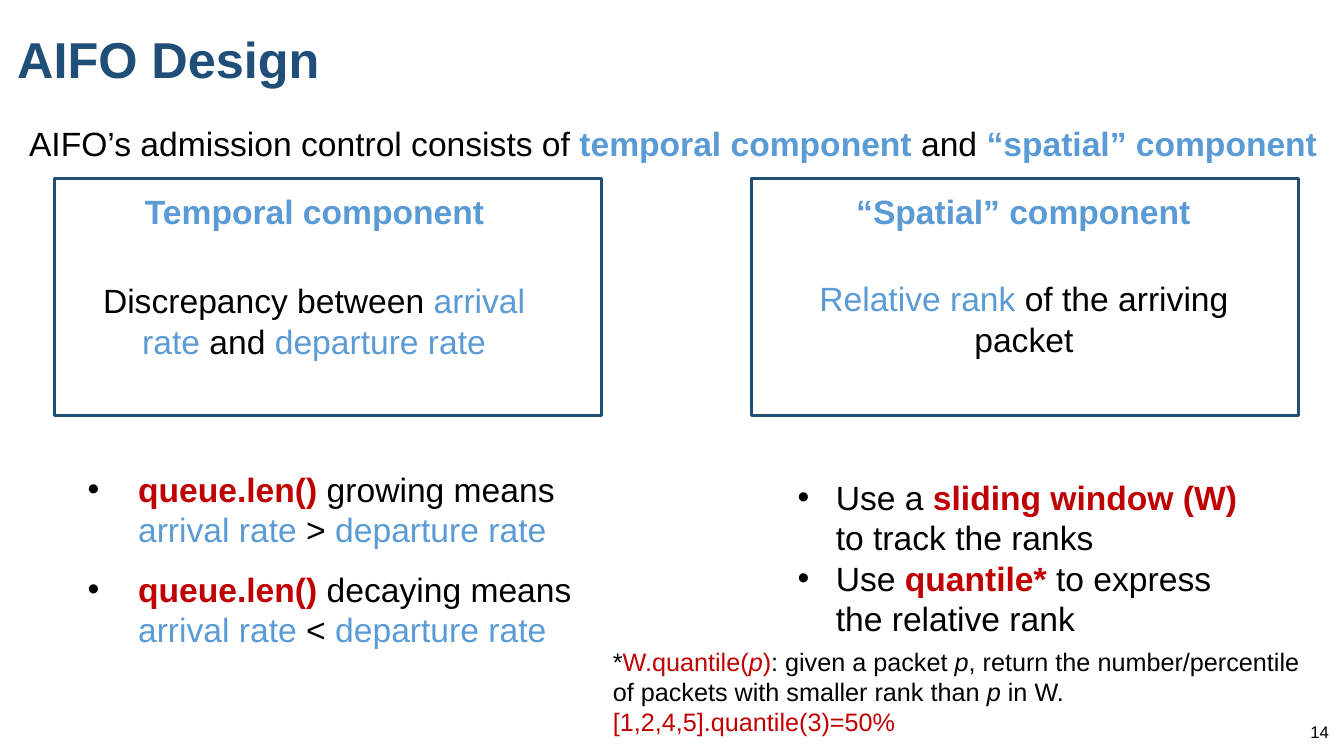
from lxml import etree
from pptx import Presentation
from pptx.dml.color import RGBColor
from pptx.enum.shapes import MSO_SHAPE
from pptx.enum.text import MSO_ANCHOR, MSO_AUTO_SIZE, PP_ALIGN
from pptx.oxml.ns import qn
from pptx.util import Inches, Pt

LEFT, CENTER, RIGHT = PP_ALIGN.LEFT, PP_ALIGN.CENTER, PP_ALIGN.RIGHT
TOP, MIDDLE = MSO_ANCHOR.TOP, MSO_ANCHOR.MIDDLE
NO_AUTOFIT = MSO_AUTO_SIZE.NONE
RECTANGLE = MSO_SHAPE.RECTANGLE

COLORS = {"navy": "1F4E79", "blue": "5B9BD5", "red": "C00000", "black": "000000"}
TWO_CONTENT_LAYOUT = 3


def fill_paragraph(paragraph, runs, size, alignment=LEFT):
    """Add runs given as (text, colour name, optional "b" or "i")."""
    paragraph.alignment = alignment
    for text, color, *style in runs:
        run = paragraph.add_run()
        run.text = text
        font = run.font
        font.name = "Arial"
        font.size = Pt(size)
        font.bold = "b" in style
        font.italic = "i" in style
        font.color.rgb = RGBColor.from_string(COLORS[color])


def place(shape, left, top, width, height, anchor=TOP, wrap=True):
    """Move a text shape and set how its text sits inside it."""
    shape.left, shape.top = Inches(left), Inches(top)
    shape.width, shape.height = Inches(width), Inches(height)
    frame = shape.text_frame
    frame.auto_size = NO_AUTOFIT
    frame.word_wrap = wrap
    frame.vertical_anchor = anchor
    return frame


presentation = Presentation()
presentation.slide_width = Inches(13.33)
presentation.slide_height = Inches(7.5)
slide = presentation.slides.add_slide(presentation.slide_layouts[TWO_CONTENT_LAYOUT])
title, temporal_list, spatial_list = slide.placeholders

# Title
frame = place(title, 0.07, -0.11, 12.28, 1.45, MIDDLE)
frame.paragraphs[0].line_spacing = 0.9
fill_paragraph(frame.paragraphs[0], [("AIFO Design", "navy", "b")], 36)

# Component frames
for left in (0.54, 7.45):
    box = slide.shapes.add_shape(RECTANGLE, Inches(left), Inches(1.77), Inches(5.43), Inches(2.35))
    box.shadow.inherit = False
    box.fill.background()
    box.line.color.rgb = RGBColor.from_string(COLORS["navy"])
    box.line.width = Pt(2)

# Single-paragraph texts: position, wrap, size, alignment, runs
texts = [
    ((0.19, 1.17, 13.03, 0.5), False, 24, LEFT, [
        ("AIFO’s admission control consists of ", "black"),
        ("temporal component ", "blue", "b"),
        ("and ", "black"),
        ("“spatial” component", "blue", "b")]),
    ((1.32, 1.84, 3.6, 0.5), False, 24, CENTER, [("Temporal component", "blue", "b")]),
    ((8.38, 1.84, 3.54, 0.5), False, 24, CENTER, [("“Spatial” component", "blue", "b")]),
    ((0.77, 2.73, 4.69, 0.91), True, 24, CENTER, [
        ("Discrepancy between ", "black"),
        ("arrival rate ", "blue"),
        ("and ", "black"),
        ("departure rate", "blue")]),
    ((7.81, 2.71, 4.69, 0.91), True, 24, CENTER, [
        ("Relative rank ", "blue"),
        ("of the arriving packet", "black")]),
    ((10.28, 7.06, 3, 0.4), True, 12, RIGHT, [("14", "black")]),
]
for position, wrap, size, alignment, runs in texts:
    text_box = slide.shapes.add_textbox(0, 0, 0, 0)
    anchor = MIDDLE if size == 12 else TOP
    frame = place(text_box, *position, anchor, wrap)
    fill_paragraph(frame.paragraphs[0], runs, size, alignment)

# Bulleted lists: placeholder, position, indent, gap between items, items
queue_items = [
    [("queue.len() ", "red", "b"),
     (f"{trend} means ", "black"),
     ("arrival rate ", "blue"),
     (f"{sign} ", "black"),
     ("departure rate", "blue")]
    for trend, sign in (("growing", ">"), ("decaying", "<"))
]
window_items = [
    [("Use a ", "black"), ("sliding window (W) ", "red", "b"), ("to track the ranks", "black")],
    [("Use ", "black"), ("quantile*", "red", "b"), (" to express the relative rank", "black")],
]
lists = [
    (temporal_list, (0.77, 4.6, 5.21, 1.92), 0.5, 14, queue_items),
    (spatial_list, (7.81, 4.68, 4.69, 1.72), 0.38, 0, window_items),
]
for placeholder, position, indent, gap, items in lists:
    frame = place(placeholder, *position)
    for index, runs in enumerate(items):
        paragraph = frame.add_paragraph() if index else frame.paragraphs[0]
        properties = paragraph._p.get_or_add_pPr()
        properties.set("marL", str(Inches(indent)))
        properties.set("indent", str(-Inches(indent)))
        bullet_color = etree.SubElement(properties, qn("a:buClr"))
        etree.SubElement(bullet_color, qn("a:srgbClr"), val=COLORS["black"])
        etree.SubElement(properties, qn("a:buFont"), typeface="Arial")
        etree.SubElement(properties, qn("a:buChar"), char="•")
        paragraph.space_before = Pt(gap if index else 0)
        fill_paragraph(paragraph, runs, 24)

# Footnote
footnote = slide.shapes.add_textbox(0, 0, 0, 0)
frame = place(footnote, 5.98, 6.36, 7.21, 1.01)
fill_paragraph(frame.paragraphs[0], [
    ("*", "black"),
    ("W.quantile(", "red"),
    ("p", "red", "i"),
    (")", "red"),
    (": given a packet ", "black"),
    ("p", "black", "i"),
    (", return the number/percentile of packets with smaller rank than ", "black"),
    ("p", "black", "i"),
    (" in W.", "black")], 18)
fill_paragraph(frame.add_paragraph(), [("[1,2,4,5].quantile(3)=50%", "red")], 18)

presentation.save("out.pptx")
